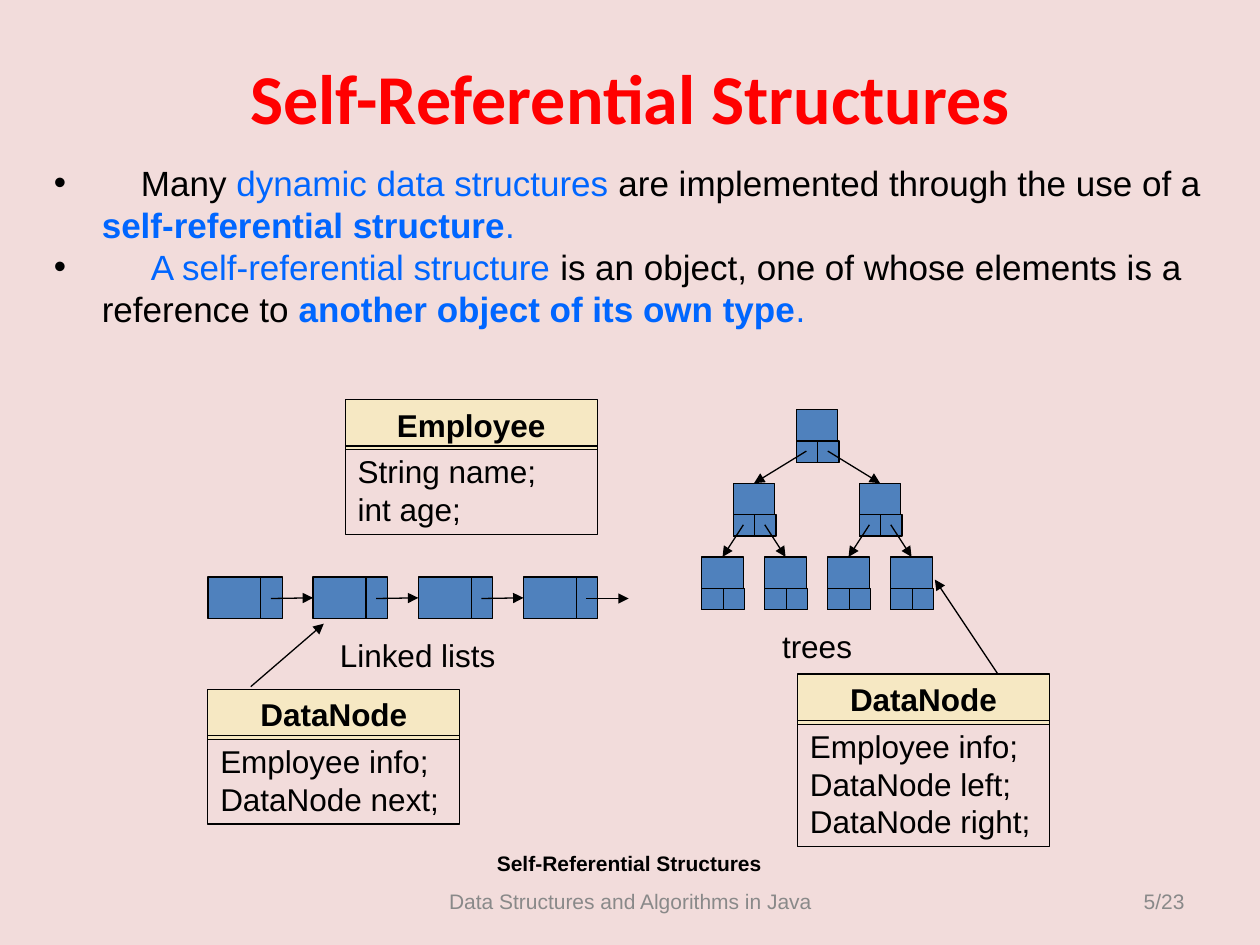
import pptx
import pptx.util
import pptx.dml.color
import pptx.enum.shapes
import pptx.enum.text
import pptx.oxml.ns
import lxml.etree

Inches = pptx.util.Inches
Pt = pptx.util.Pt
RGBColor = pptx.dml.color.RGBColor
Align = pptx.enum.text.PP_ALIGN
Anchor = pptx.enum.text.MSO_ANCHOR
qn = pptx.oxml.ns.qn

PINK = RGBColor(0xF2, 0xDC, 0xDB)
RED = RGBColor(0xFF, 0x00, 0x00)
BLACK = RGBColor(0x00, 0x00, 0x00)
LINK = RGBColor(0x00, 0x66, 0xFF)
GRAY = RGBColor(0x89, 0x89, 0x89)
BLUE = RGBColor(0x4F, 0x81, 0xBD)
YELLOW = RGBColor(0xFF, 0xFF, 0x99)

CELL = 0.17
STEP = 0.585


def add_run(par, text, size, color=BLACK, bold=False, face="Arial"):
    run = par.add_run()
    run.text = text
    font = run.font
    font.name = face
    font.size = Pt(size)
    font.bold = bold
    font.color.rgb = color


def fill_text(shape, lines, size, align, color=BLACK, bold=False, anchor=Anchor.TOP):
    frame = shape.text_frame
    frame.word_wrap = True
    frame.vertical_anchor = anchor
    for i, line in enumerate(lines):
        par = frame.add_paragraph() if i else frame.paragraphs[0]
        par.alignment = align
        add_run(par, line, size, color, bold)


def add_label(shapes, text, x, y, w, h, size=18, align=Align.CENTER, **style):
    box = shapes.add_textbox(Inches(x), Inches(y), Inches(w), Inches(h))
    fill_text(box, [text], size, align, **style)


def add_rect(shapes, x, y, w, h, fill=None, line=BLACK):
    kind = pptx.enum.shapes.MSO_SHAPE.RECTANGLE
    rect = shapes.add_shape(kind, Inches(x), Inches(y), Inches(w), Inches(h))
    rect.shadow.inherit = False
    if fill is None:
        rect.fill.background()
    else:
        rect.fill.solid()
        rect.fill.fore_color.rgb = fill
    if line is None:
        rect.line.fill.background()
    else:
        rect.line.color.rgb = line
        rect.line.width = Pt(0.75)
    return rect


def add_arrow(shapes, x1, y1, x2, y2, goal=None, side=0):
    kind = pptx.enum.shapes.MSO_CONNECTOR.STRAIGHT
    arrow = shapes.add_connector(kind, Inches(x1), Inches(y1), Inches(x2), Inches(y2))
    if goal is not None:
        arrow.end_connect(goal, side)
    arrow.line.color.rgb = BLACK
    arrow.line.width = Pt(0.75)
    line = arrow.line._get_or_add_ln()
    lxml.etree.SubElement(line, qn("a:tailEnd"), type="triangle")
    lxml.etree.SubElement(arrow._element.spPr, qn("a:effectLst"))


def add_class(shapes, name, fields, x, y):
    group = shapes.add_group_shape().shapes
    tint = add_rect(group, x, y, 2, 0.4, YELLOW, None)
    color = tint.fill._xPr.find(".//" + qn("a:srgbClr"))
    lxml.etree.SubElement(color, qn("a:alpha"), val="35000")
    head = add_rect(group, x, y, 2, 0.4)
    fill_text(head, [name], 18, Align.CENTER, bold=True)
    body = add_rect(group, x, y + 0.37, 2, 0.1 + 0.3 * len(fields))
    fill_text(body, fields, 18, Align.LEFT)


def add_tree(shapes, x, y, gap, depth):
    group = shapes.add_group_shape().shapes
    node = add_rect(group, x, y, 0.33, 0.42, BLUE)
    for i in range(2):
        add_rect(group, x + i * CELL, y + 0.25, CELL, CELL, BLUE)
    if depth:
        for i, shift in enumerate((-gap, gap)):
            child = add_tree(shapes, x + shift, y + STEP, gap / 2, depth - 1)
            add_arrow(shapes, x + 0.08 + i * CELL, y + 0.33,
                      x + shift + CELL, y + STEP, child)
    return node


def add_chain(shapes, x, y, count):
    pitch = 0.835
    lefts = [x + i * pitch for i in range(count)]
    nodes = []
    for left in lefts:
        nodes.append(add_rect(shapes, left, y, 0.58, 0.33, BLUE))
        add_rect(shapes, left + 0.42, y, CELL, 0.33, BLUE)
    for left, goal in zip(lefts, nodes[1:] + [None]):
        add_arrow(shapes, left + 0.5, y + 0.17, left + pitch, y + 0.17, goal, 1)


def add_bullet(par, tab, parts):
    props = par._p.get_or_add_pPr()
    props.set("marL", str(Inches(0.38)))
    props.set("indent", str(Inches(-0.38)))
    color = lxml.etree.SubElement(props, qn("a:buClr"))
    lxml.etree.SubElement(color, qn("a:srgbClr"), val=str(BLACK))
    lxml.etree.SubElement(props, qn("a:buFont"), typeface="Arial")
    lxml.etree.SubElement(props, qn("a:buChar"), char="•")
    tabs = lxml.etree.SubElement(props, qn("a:tabLst"))
    lxml.etree.SubElement(tabs, qn("a:tab"), pos=str(Inches(tab)), algn="l")
    for text, color, bold in parts:
        add_run(par, text, 20, color, bold)


def add_points(shapes):
    box = shapes.add_textbox(Inches(0.33), Inches(1.23), Inches(9.33), Inches(1.44))
    frame = box.text_frame
    frame.word_wrap = True
    add_bullet(frame.paragraphs[0], 0.69, [
        ("\tMany ", BLACK, False),
        ("dynamic data structures ", LINK, False),
        ("are implemented through the use of a ", BLACK, False),
        ("self-referential structure", LINK, True),
        (".", LINK, False),
    ])
    add_bullet(frame.add_paragraph(), 0.77, [
        ("\tA self-referential structure ", LINK, False),
        ("is an object, one of whose elements is a reference to ", BLACK, False),
        ("another object of its own type", LINK, True),
        (".", LINK, False),
    ])


def set_title(title, text):
    title.left, title.top = Inches(0.5), Inches(0.38)
    title.width, title.height = Inches(9), Inches(0.77)
    title.text_frame.vertical_anchor = Anchor.MIDDLE
    par = title.text_frame.paragraphs[0]
    par.alignment = Align.CENTER
    add_run(par, text, 40, RED, True, "Calibri")


def main():
    deck = pptx.Presentation()
    deck.slide_width, deck.slide_height = Inches(10), Inches(7.5)
    slide = deck.slides.add_slide(deck.slide_layouts[5])
    slide.background.fill.solid()
    slide.background.fill.fore_color.rgb = PINK
    shapes = slide.shapes
    topic = "Self-Referential Structures"
    set_title(shapes.title, topic)
    add_points(shapes)
    add_class(shapes, "Employee", ["String name;", "int age;"], 2.74, 3.17)
    add_class(shapes, "DataNode", ["Employee info;", "DataNode next;"], 1.65, 5.47)
    add_class(shapes, "DataNode",
              ["Employee info;", "DataNode left;", "DataNode right;"], 6.33, 5.35)
    add_tree(shapes, 6.32, 3.25, 0.5, 2)
    add_chain(shapes, 1.65, 4.58, 4)
    add_label(shapes, "trees", 5.57, 4.93, 1.83, 0.4)
    add_label(shapes, "Linked lists", 1.65, 5, 3.33, 0.4)
    add_arrow(shapes, 1.99, 5.45, 2.57, 4.95)
    add_arrow(shapes, 7.92, 5.35, 7.42, 4.6)
    add_label(shapes, topic, 3.83, 6.7, 2.33, 0.3, 12, bold=True)
    add_label(shapes, "Data Structures and Algorithms in Java", 3.17, 6.95, 3.67, 0.4,
              12, color=GRAY, anchor=Anchor.MIDDLE)
    add_label(shapes, "5/23", 7.17, 6.95, 2.33, 0.4, 12, Align.RIGHT,
              color=GRAY, anchor=Anchor.MIDDLE)
    deck.save("out.pptx")


if __name__ == "__main__":
    main()
